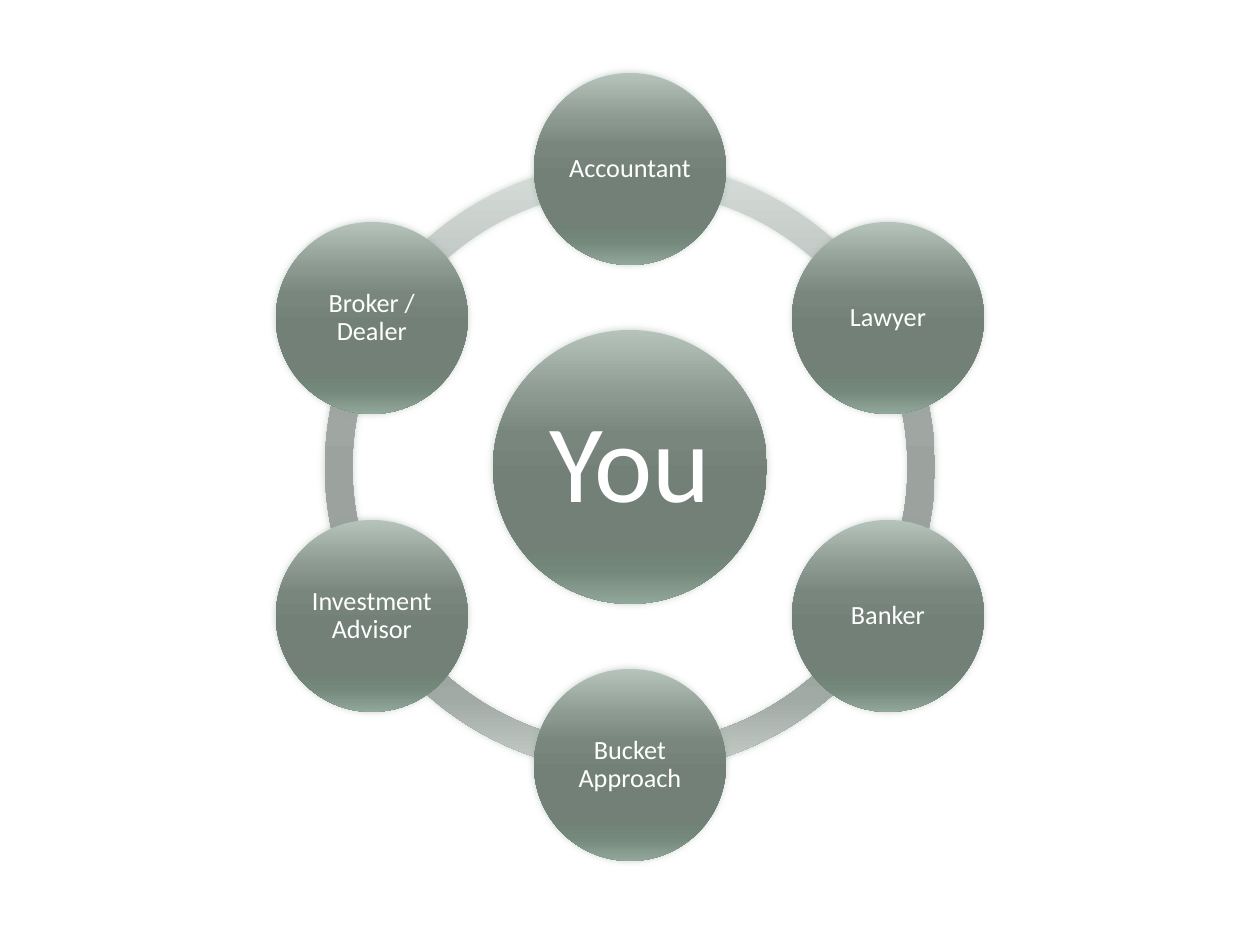
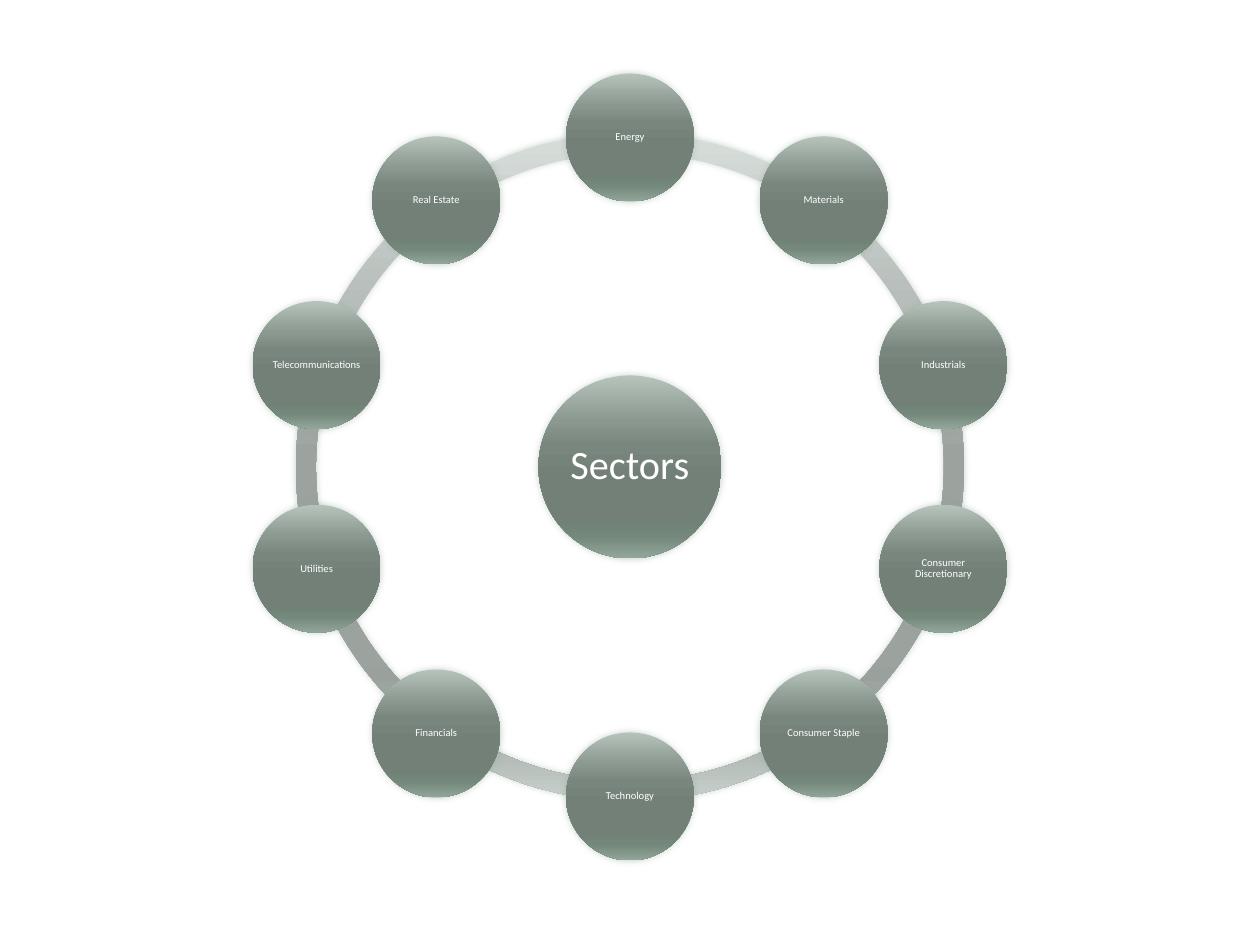
from math import cos, radians, sin

from lxml import etree
from pptx import Presentation
from pptx.dml.color import RGBColor
from pptx.enum.shapes import MSO_SHAPE
from pptx.enum.text import MSO_ANCHOR, PP_ALIGN
from pptx.oxml.ns import qn
from pptx.util import Pt

ARC, OVAL = MSO_SHAPE.BLOCK_ARC, MSO_SHAPE.OVAL
MIDDLE, CENTER = MSO_ANCHOR.MIDDLE, PP_ALIGN.CENTER

PX = 914400 // 126
CX, CY = 630, 467
TOP_ANGLE = 270
ARC_UNITS_PER_DEGREE = 0.6

THEME = {
    "font": "Calibri",
    "text": "FFFFFF",
    "halo": "91A79A",
    "stops": (0, 25, 38, 55, 80, 88, 100),
    "ring": ("D7DEDA", "B7BDBA", "A0A6A2", "9CA29E", "9AA19D", "A2AAA5", "C7D0CA"),
    "disc": ("B6C3BB", "8B9890", "79867E", "728078", "708176", "75887C", "91A79A"),
}

WHEELS = [
    {
        "hub": "You", "hub_size": 274, "hub_pt": 63, "hub_inset": 11,
        "ring_size": 610, "thickness": 0.045, "orbit": 298,
        "node_size": 192, "node_pt": 15, "node_inset": 2,
        "nodes": ["Accountant", "Lawyer", "Banker", "Bucket Approach",
                  "Investment Advisor", "Broker / Dealer"],
    },
    {
        "hub": "Sectors", "hub_size": 183, "hub_pt": 23, "hub_inset": 4,
        "ring_size": 668, "thickness": 0.03, "orbit": 329.5,
        "node_size": 128, "node_pt": 6, "node_inset": 0,
        "nodes": ["Energy", "Materials", "Industrials", "Consumer Discretionary",
                  "Consumer Staple", "Technology", "Financials", "Utilities",
                  "Telecommunications", "Real Estate"],
    },
]


def add_round(s, kind, cx, cy, size, colors):
    left, top = round((cx - size / 2) * PX), round((cy - size / 2) * PX)
    sp = s.shapes.add_shape(kind, left, top, size * PX, size * PX)
    sp.line.fill.background()
    sp.fill.gradient()
    sp.fill.gradient_angle = 270
    stops = sp._element.spPr.find(".//" + qn("a:gsLst"))
    for old in list(stops):
        stops.remove(old)
    for pos, color in zip(THEME["stops"], colors):
        stop = etree.SubElement(stops, qn("a:gs"), pos=str(pos * 1000))
        etree.SubElement(stop, qn("a:srgbClr"), val=color)
    sp.shadow.inherit = False
    effects = sp._element.spPr.find(qn("a:effectLst"))
    halo = etree.SubElement(effects, qn("a:outerShdw"), blurRad=str(7 * PX),
                            dist="0", dir="5400000", rotWithShape="0")
    color = etree.SubElement(halo, qn("a:srgbClr"), val=THEME["halo"])
    etree.SubElement(color, qn("a:alpha"), val="50000")
    return sp


def add_disc(s, cx, cy, size, text, pt, inset):
    tf = add_round(s, OVAL, cx, cy, size, THEME["disc"]).text_frame
    tf.word_wrap = True
    tf.vertical_anchor = MIDDLE
    tf.margin_left = tf.margin_right = tf.margin_top = tf.margin_bottom = inset * PX
    p = tf.paragraphs[0]
    p.alignment = CENTER
    p.line_spacing = 0.9
    r = p.add_run()
    r.text = text
    r.font.name = THEME["font"]
    r.font.size = Pt(pt)
    r.font.color.rgb = RGBColor.from_string(THEME["text"])


prs = Presentation()
prs.slide_width, prs.slide_height = 1260 * PX, 945 * PX

for wheel in WHEELS:
    s = prs.slides.add_slide(prs.slide_layouts[6])
    step = 360 / len(wheel["nodes"])

    for i in range(len(wheel["nodes"])):
        end = TOP_ANGLE - i * step
        arc = add_round(s, ARC, CX, CY, wheel["ring_size"], THEME["ring"])
        arc.adjustments[0] = (end - step) % 360 * ARC_UNITS_PER_DEGREE
        arc.adjustments[1] = end % 360 * ARC_UNITS_PER_DEGREE
        arc.adjustments[2] = wheel["thickness"]

    add_disc(s, CX, CY, wheel["hub_size"], wheel["hub"], wheel["hub_pt"], wheel["hub_inset"])

    for i, name in enumerate(wheel["nodes"]):
        angle = radians(TOP_ANGLE + i * step)
        add_disc(s, CX + wheel["orbit"] * cos(angle), CY + wheel["orbit"] * sin(angle),
                 wheel["node_size"], name, wheel["node_pt"], wheel["node_inset"])

prs.save("out.pptx")
